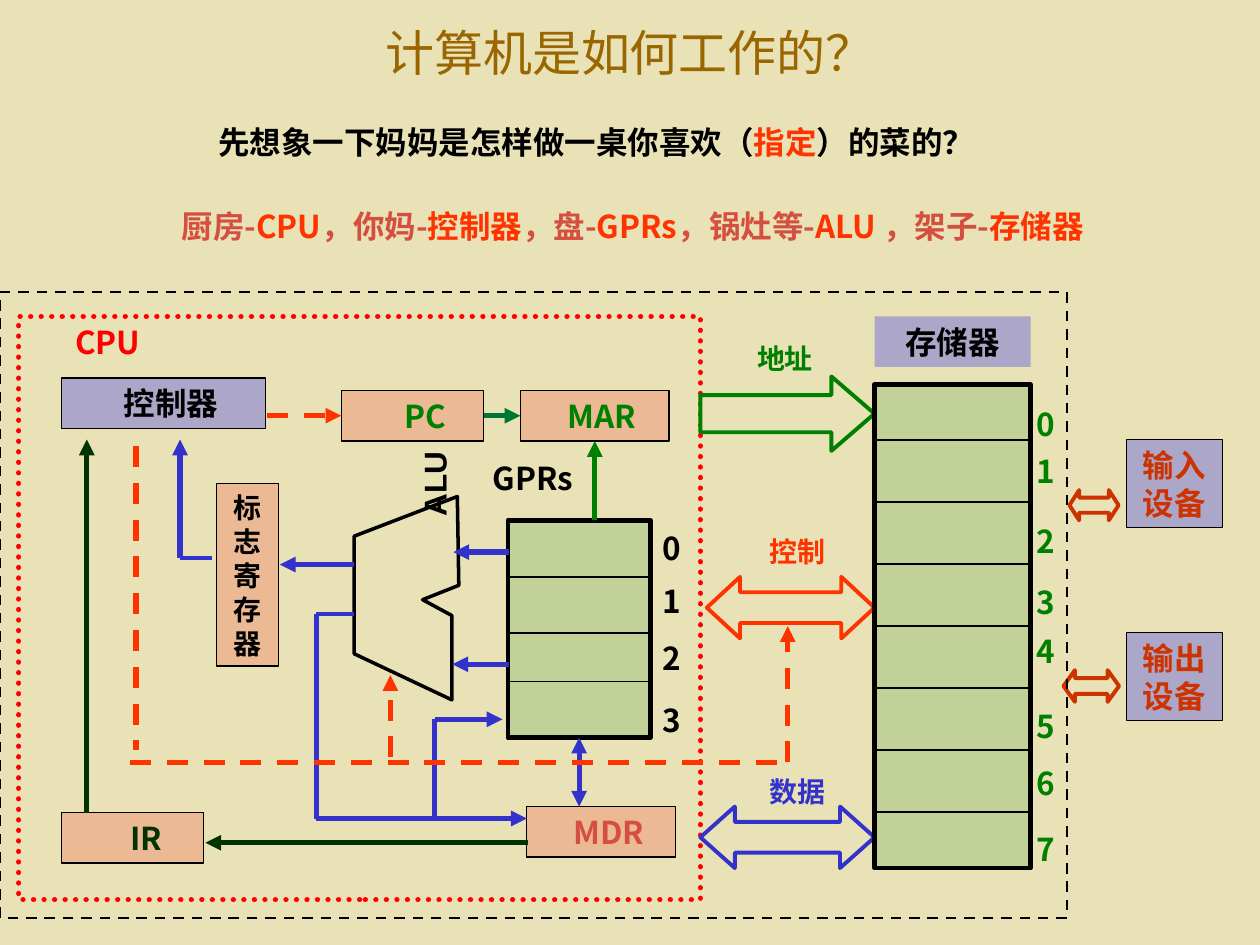
from lxml import etree
from pptx import Presentation
from pptx.dml.color import RGBColor
from pptx.enum.dml import MSO_LINE
from pptx.enum.shapes import MSO_CONNECTOR, MSO_SHAPE
from pptx.enum.text import MSO_ANCHOR, PP_ALIGN
from pptx.oxml.ns import qn
from pptx.util import Cm, Pt

SAND = RGBColor(0xE9, 0xE2, 0xB6)
BROWN = RGBColor(0x99, 0x66, 0x00)
BLACK = RGBColor(0x00, 0x00, 0x00)
ORANGE = RGBColor(0xFF, 0x33, 0x00)
BRICK = RGBColor(0xD5, 0x4F, 0x41)
RUST = RGBColor(0xCC, 0x33, 0x00)
RED = RGBColor(0xFF, 0x00, 0x00)
BLUE = RGBColor(0x33, 0x33, 0xCC)
PURE_BLUE = RGBColor(0x00, 0x00, 0xFF)
GREEN = RGBColor(0x00, 0x80, 0x00)
TEAL = RGBColor(0x00, 0x76, 0x35)
DARK_GREEN = RGBColor(0x00, 0x33, 0x00)

# Translucent fills: colour and opacity in percent
LILAC, PEACH, LEAF = (PURE_BLUE, 26), (RED, 18), (GREEN, 17)
FONT = "Noto Sans CJK SC"


def write(shape, lines, size=18, bold=True, latin=FONT, shift=0, pitch=None):
    """Fill a shape with lines, each a list of (text, colour) runs; shift moves the text right."""
    frame = shape.text_frame
    settings = {"word_wrap": True, "vertical_anchor": MSO_ANCHOR.MIDDLE,
                "margin_left": Cm(2 * shift), "margin_right": 0,
                "margin_top": 0, "margin_bottom": 0}
    for name, value in settings.items():
        setattr(frame, name, value)
    for number, runs in enumerate(lines):
        paragraph = frame.add_paragraph() if number else frame.paragraphs[0]
        paragraph.alignment = PP_ALIGN.CENTER
        if pitch:
            paragraph.line_spacing = Pt(pitch)
        for text, colour in runs:
            run = paragraph.add_run()
            run.text = text
            for name, value in {"size": Pt(size), "bold": bold, "name": latin}.items():
                setattr(run.font, name, value)
            run.font.color.rgb = colour
            east_asian = etree.SubElement(run.font._element, qn("a:ea"))
            east_asian.set("typeface", FONT)


def add_label(slide, place, runs, **style):
    label = slide.shapes.add_textbox(*map(Cm, place))
    write(label, [runs], **style)
    return label


def style_line(line, colour, width, dash=None):
    line.color.rgb = colour
    line.width = Pt(width)
    if dash:
        line.dash_style = dash


def add_box(slide, place, fill=None, line=(BLACK, 0.75), kind=MSO_SHAPE.RECTANGLE):
    """Add a preset shape; fill is None or (colour, opacity), line is None or (colour, width, dash)."""
    box = slide.shapes.add_shape(kind, *map(Cm, place))
    box.shadow.inherit = False
    if fill:
        colour, opacity = fill
        box.fill.solid()
        box.fill.fore_color.rgb = colour
        tint = box._element.spPr.find(qn("a:solidFill"))[0]
        etree.SubElement(tint, qn("a:alpha")).set("val", str(opacity * 1000))
    else:
        box.fill.background()
    if line:
        style_line(box.line, *line)
    else:
        box.line.fill.background()
    return box


def add_unit(slide, place, fill, names, colour, line=(BLACK, 0.75), **style):
    unit = add_box(slide, place, fill, line)
    write(unit, [[(name, colour)] for name in names], **style)
    return unit


def add_bus(slide, kind, place, head, colour):
    bus = add_box(slide, place, (SAND, 100), (colour, 2.25), kind)
    bus.adjustments[0], bus.adjustments[1] = 0.5, head


def add_wire(slide, ends, colour, width=3, arrows=(), dash=None, begin=None, end=None):
    """Draw a straight line; arrows names its headEnd/tailEnd, begin and end are (shape, side)."""
    wire = slide.shapes.add_connector(MSO_CONNECTOR.STRAIGHT, *map(Cm, ends))
    if begin:
        wire.begin_connect(*begin)
    if end:
        wire.end_connect(*end)
    style_line(wire.line, colour, width, dash)
    outline = wire._element.spPr.find(qn("a:ln"))
    for arrow in arrows:
        etree.SubElement(outline, qn(f"a:{arrow}")).set("type", "triangle")
    etree.SubElement(wire._element.spPr, qn("a:effectLst"))


def add_storage(slide, place, dividers, number_left, number_tops, colour):
    """Add a block of numbered cells."""
    left, _, width, _ = place
    block = add_box(slide, place, LEAF, (BLACK, 2.75))
    for y in dividers:
        add_wire(slide, (left, y, left + width, y), BLACK, 0.75)
    for number, top in enumerate(number_tops):
        add_label(slide, (number_left, top, 0.86, 1.02), [(str(number), colour)])
    return block


def add_alu(slide):
    corners = [(9.22, 10.01), (9.25, 11.8), (8.52, 12.09), (9.11, 12.41),
               (9.11, 14.11), (7.14, 13.18), (7.14, 10.81)]
    points = [(Cm(x), Cm(y)) for x, y in corners]
    builder = slide.shapes.build_freeform(*points[0])
    builder.add_line_segments(points[1:], close=True)
    alu = builder.convert_to_shape()
    alu.shadow.inherit = False
    alu.fill.background()
    style_line(alu.line, BLACK, 2)
    name = add_label(slide, (7.62, 9.28, 2.26, 0.94), [("ALU", BLACK)], latin="Arial")
    name.rotation = 270


def add_headings(slide):
    title = slide.shapes.title
    place = {"left": 1.27, "top": 0.28, "width": 22.86, "height": 1.55}
    for name, value in place.items():
        setattr(title, name, Cm(value))
    write(title, [[("计算机是如何工作的？", BROWN)]], 28, False, "Times New Roman")
    add_label(slide, (0.58, 2.36, 22.89, 1.02),
              [("先想象一下妈妈是怎样做一桌你喜欢（", BLACK), ("指定", ORANGE), ("）的菜的？", BLACK)])
    pairs = [("厨房-", "CPU"), ("，你妈-", "控制器"), ("，盘-", "GPRs"),
             ("，锅灶等-", "ALU "), ("，架子-", "存储器")]
    add_label(slide, (0.69, 4.04, 24.13, 1.02),
              [run for thing, part in pairs for run in ((thing, BRICK), (part, ORANGE))])


def main():
    presentation = Presentation()
    presentation.slide_width, presentation.slide_height = Cm(25.4), Cm(19.05)
    slide = presentation.slides.add_slide(presentation.slide_layouts[5])
    slide.background.fill.solid()
    slide.background.fill.fore_color.rgb = SAND
    add_headings(slide)

    cpu = add_box(slide, (0.38, 6.38, 13.74, 11.76), line=(RED, 3, MSO_LINE.ROUND_DOT))
    cpu._element.spPr.find(qn("a:ln")).set("cap", "rnd")

    add_unit(slide, (1.24, 7.62, 4.11, 1.02), LILAC, ["控制器"], BLACK, shift=0.15)
    pc = add_unit(slide, (6.88, 7.87, 2.87, 1.02), PEACH, ["PC"], GREEN, shift=0.27)
    mar = add_unit(slide, (10.49, 7.87, 3, 1.02), PEACH, ["MAR"], GREEN, shift=0.15)
    mdr_place = (10.62, 16.26, 3, 1.02)
    add_unit(slide, mdr_place, PEACH, ["MDR"], BRICK, shift=0.15)
    add_unit(slide, (1.24, 16.38, 2.87, 1.02), PEACH, ["IR"], DARK_GREEN, shift=0.27)
    add_unit(slide, (4.37, 9.75, 1.24, 3.68), PEACH, "标志寄存器", BLACK, size=16, pitch=19.4)
    add_unit(slide, (17.63, 6.38, 3.15, 1.02), LILAC, ["存储器"], BLACK, line=None)
    for top, direction in ((8.86, "输入"), (12.75, "输出")):
        add_unit(slide, (22.71, top, 1.93, 1.78), LILAC, [direction, "设备"], RUST, pitch=21.7)

    both_ways = MSO_SHAPE.LEFT_RIGHT_ARROW
    add_bus(slide, both_ways, (21.56, 9.88, 0.99, 0.61), 0.32, RUST)
    add_bus(slide, both_ways, (21.44, 13.51, 1.12, 0.64), 0.36, RUST)
    add_bus(slide, MSO_SHAPE.RIGHT_ARROW, (14.12, 7.59, 3.51, 1.5), 0.58, GREEN)
    add_bus(slide, both_ways, (14.25, 11.63, 3.38, 1.24), 0.54, ORANGE)
    add_bus(slide, both_ways, (14.12, 16.26, 3.51, 1.24), 0.56, BLUE)

    gprs = add_storage(slide, (10.24, 10.49, 2.87, 4.38), (11.63, 12.76, 13.74),
                       13.12, (10.54, 11.61, 12.75, 14), BLACK)
    add_storage(slide, (17.63, 7.75, 3.14, 9.75), [8.87 + 1.25 * row for row in range(7)],
                20.65, (8.03, 8.99, 10.39, 11.63, 12.62, 14.12, 15.27, 16.61), GREEN)
    add_alu(slide)

    for place, name, colour, size in (
            ((0.99, 6.38, 2.36, 1.02), "CPU", RED, 18),
            ((9.12, 9.12, 3.25, 1.02), "GPRs", BLACK, 18),
            ((14.63, 6.76, 2.39, 0.94), "地址", GREEN, 16),
            ((14.88, 10.64, 2.39, 0.94), "控制", ORANGE, 16),
            ((15.01, 15.49, 2.13, 0.94), "数据", BLUE, 16)):
        add_label(slide, place, [(name, colour)], size=size)

    to_end, plain = ("tailEnd",), ()
    add_wire(slide, (5.38, 8.38, 6.88, 8.38), ORANGE, arrows=to_end,
             dash=MSO_LINE.DASH, end=(pc, 1))
    add_wire(slide, (9.75, 8.38, 10.49, 8.38), TEAL, arrows=to_end, begin=(pc, 3), end=(mar, 1))
    add_wire(slide, (11.99, 10.49, 11.99, 8.89), GREEN, arrows=to_end, end=(mar, 2))
    gprs_middle = 10.24 + 2.87 / 2
    add_wire(slide, (gprs_middle, 14.87, gprs_middle, mdr_place[1]), BLUE,
             arrows=("headEnd", "tailEnd"), begin=(gprs, 2))

    for ends, width, arrows in (
            ((10.26, 11.13, 9.14, 11.13), 3, to_end),
            ((10.26, 13.39, 9.12, 13.39), 3, to_end),
            ((7.14, 11.38, 5.64, 11.38), 3, to_end),
            ((4.27, 11.25, 3.63, 11.25), 2.25, plain),
            ((3.63, 11.25, 3.63, 8.86), 3, to_end),
            ((7.14, 12.37, 6.38, 12.37), 2.25, plain),
            ((6.38, 12.37, 6.38, 16.5), 3, plain),
            ((6.38, 16.5, 10.62, 16.5), 3, to_end),
            ((8.76, 16.5, 8.76, 14.5), 3, plain),
            ((8.76, 14.5, 10.13, 14.5), 3, to_end)):
        add_wire(slide, ends, BLUE, width, arrows)
    for ends, arrows in (
            ((2.62, 15.37, 15.75, 15.37), plain),
            ((2.74, 8.99, 2.74, 15.11), plain),
            ((7.87, 15.27, 7.87, 13.61), to_end),
            ((15.88, 15.37, 15.88, 12.62), to_end)):
        add_wire(slide, ends, ORANGE, arrows=arrows, dash=MSO_LINE.DASH)
    for ends in ((10.64, 16.99, 4.14, 16.99), (1.75, 16.38, 1.75, 8.86)):
        add_wire(slide, ends, DARK_GREEN, arrows=to_end)

    add_box(slide, (0, 5.89, 21.51, 12.62), line=(BLACK, 1.5, MSO_LINE.DASH))
    presentation.save("out.pptx")


if __name__ == "__main__":
    main()
